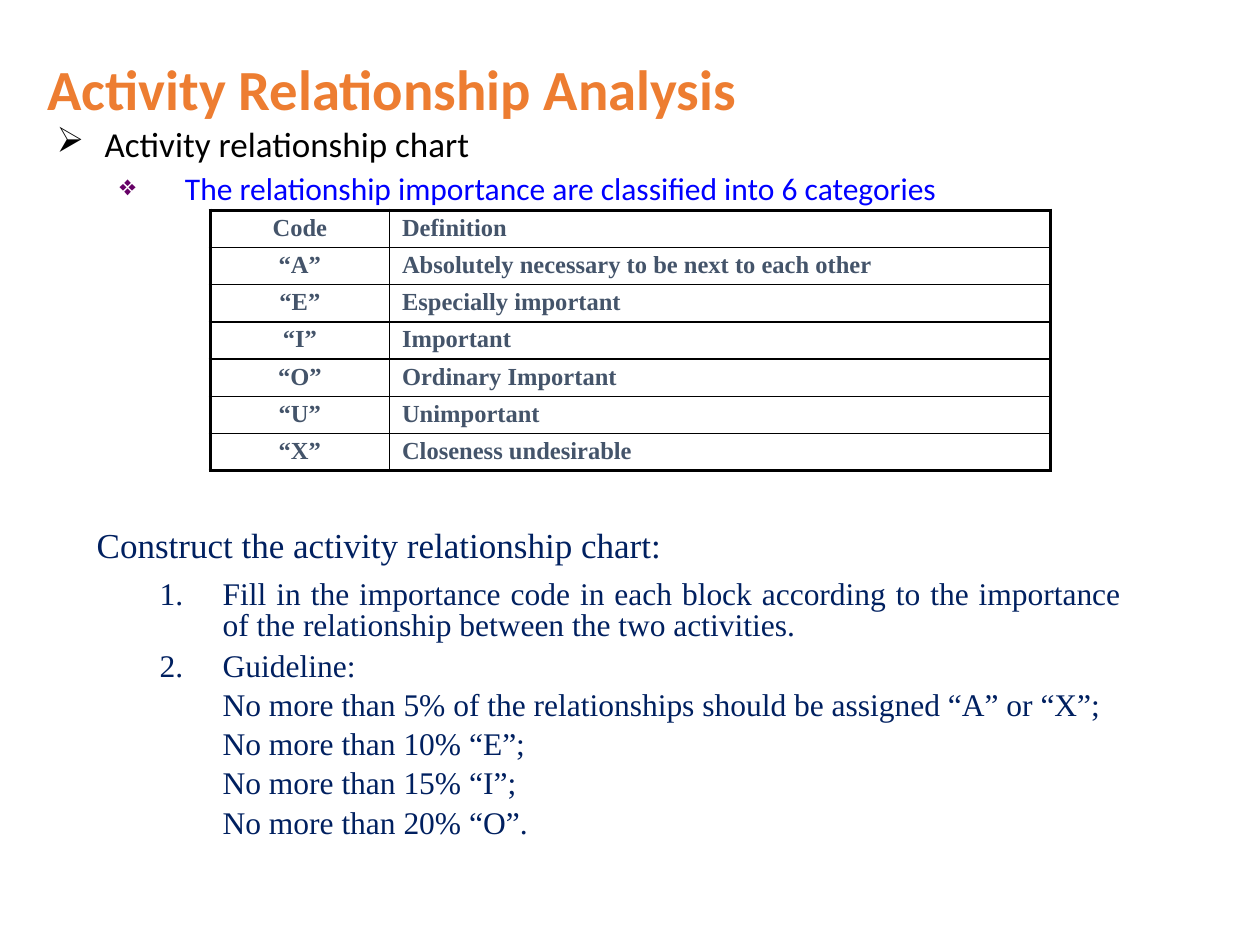
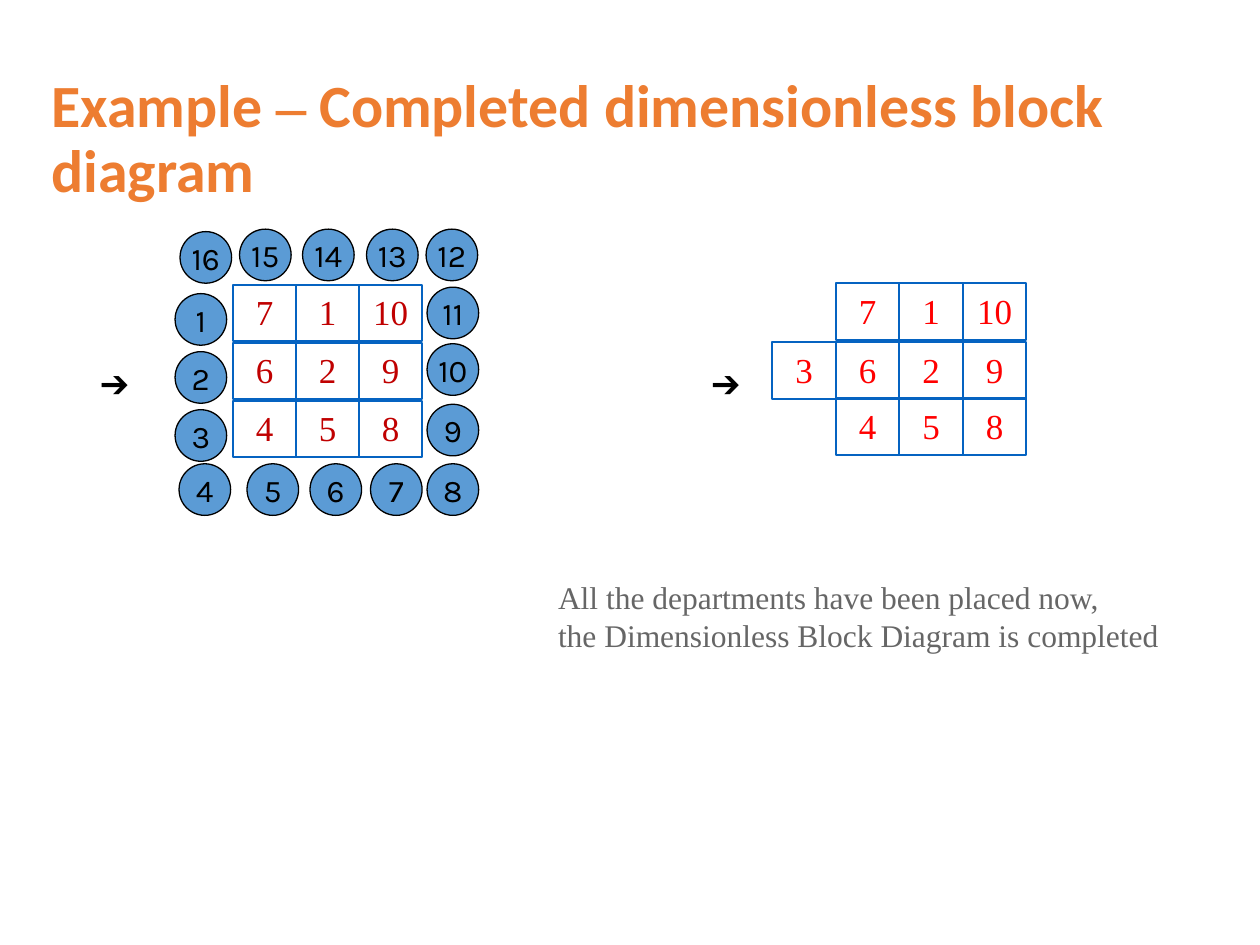
from dataclasses import dataclass
from typing import NamedTuple

from lxml.etree import SubElement
from pptx import Presentation
from pptx.dml.color import RGBColor
from pptx.enum.shapes import MSO_SHAPE
from pptx.enum.text import MSO_ANCHOR, PP_ALIGN
from pptx.oxml.ns import qn
from pptx.util import Cm, Pt


@dataclass(frozen=True)
class Theme:
    heading_font: str = "Calibri"
    body_font: str = "Times New Roman"
    circle_font: str = "Karla"
    title: str = "ED7D31"
    black: str = "000000"
    blue: str = "0000FF"
    purple: str = "660066"
    slate: str = "44546A"
    navy: str = "002060"
    gray: str = "666666"
    circle: str = "5B9BD5"
    block_line: str = "0563C1"
    dark_red: str = "C00000"
    red: str = "FF0000"
    large: float = 20
    medium: float = 18
    small: float = 14
    thick: float = 2.25
    thin: float = 1


THEME = Theme()


class Box(NamedTuple):
    left: float
    top: float
    width: float
    height: float

    def lengths(self) -> list:
        return [Cm(value) for value in self]


@dataclass(frozen=True)
class Style:
    font: str
    size: float
    color: str
    bold: bool = False


@dataclass(frozen=True)
class Line:
    text: str
    style: Style
    align: PP_ALIGN = PP_ALIGN.LEFT
    spacing: float = 1.0
    before: float = 0
    level: int = 0
    margin: float = 0
    hanging: float = 0
    bullet: str = ""
    bullet_color: str = ""
    bullet_percent: int = 100
    numbered: bool = False


class Circle(NamedTuple):
    left: float
    top: float


class Block(NamedTuple):
    column: int
    row: int
    department: str


NOTE = Style(THEME.body_font, THEME.medium, THEME.gray)
ARROW = Style(THEME.body_font, THEME.medium, THEME.black)
CIRCLE = Style(THEME.circle_font, THEME.medium, THEME.black)
CODE = Style(THEME.body_font, THEME.small, THEME.slate, True)
STEP = Style(THEME.body_font, THEME.medium, THEME.navy)

CATEGORIES = [
    ("Code", "Definition"),
    ("“A”", "Absolutely necessary to be next to each other"),
    ("“E”", "Especially important"),
    ("“I”", "Important"),
    ("“O”", "Ordinary Important"),
    ("“U”", "Unimportant"),
    ("“X”", "Closeness undesirable"),
]
GUIDELINES = [
    "No more than 5% of the relationships should be assigned “A” or “X”;",
    "No more than 10% “E”;",
    "No more than 15% “I”;",
    "No more than 20% “O”.",
]
CIRCLES = (
    [Circle(3.53, 5.92 + 1.17 * step) for step in range(3)]
    + [Circle(left, 9.35) for left in (3.61, 4.98, 6.25, 7.47, 8.61)]
    + [Circle(8.61, top) for top in (8.15, 6.93, 5.79)]
    + [Circle(left, 4.62) for left in (8.59, 7.39, 6.1, 4.83)]
    + [Circle(3.63, 4.67)]
)
CIRCLE_SIZE = 1.04
PLACED = ["7 1 10", "6 2 9", "4 5 8"]
BLOCKS = [
    Block(column, row, department)
    for row, departments in enumerate(PLACED)
    for column, department in enumerate(departments.split())
]


def apply_style(font, style: Style) -> None:
    font.name = style.font
    font.size = Pt(style.size)
    font.bold = style.bold
    font.color.rgb = RGBColor.from_string(style.color)


def add_bullet(paragraph, line: Line) -> None:
    properties = paragraph._p.get_or_add_pPr()
    properties.set("marL", str(Cm(line.margin)))
    properties.set("indent", str(-Cm(line.hanging)))
    if line.bullet_color:
        color = SubElement(properties, qn("a:buClr"))
        SubElement(color, qn("a:srgbClr"), val=line.bullet_color)
    if line.bullet_percent != 100:
        SubElement(properties, qn("a:buSzPct"), val=str(line.bullet_percent * 1000))
    if line.bullet:
        SubElement(properties, qn("a:buChar"), char=line.bullet)
    elif line.numbered:
        SubElement(properties, qn("a:buAutoNum"), type="arabicPeriod")
    else:
        SubElement(properties, qn("a:buNone"))


def write(text_frame, lines: list[Line]) -> None:
    text_frame.text = "\n".join(line.text for line in lines)
    for paragraph, line in zip(text_frame.paragraphs, lines):
        paragraph.alignment = line.align
        paragraph.line_spacing = line.spacing
        paragraph.level = line.level
        if line.before:
            paragraph.space_before = Pt(line.before)
        add_bullet(paragraph, line)
        for run in paragraph.runs:
            apply_style(run.font, line.style)


def add_text(slide, box: Box, lines: list[Line], wrap: bool = True):
    shape = slide.shapes.add_textbox(*box.lengths())
    shape.text_frame.word_wrap = wrap
    write(shape.text_frame, lines)
    return shape


def add_title(slide, box: Box, text: str, size: float) -> None:
    style = Style(THEME.heading_font, size, THEME.title, True)
    start, dash, rest = text.partition("–")
    shape = add_text(slide, box, [Line(start, style, spacing=0.9)])
    shape.text_frame.vertical_anchor = MSO_ANCHOR.MIDDLE
    for piece, font in ((dash, THEME.body_font), (rest, THEME.heading_font)):
        if piece:
            run = shape.text_frame.paragraphs[0].add_run()
            run.text = piece
            apply_style(run.font, Style(font, size, THEME.title, True))


def set_borders(cell, widths: dict[str, float]) -> None:
    properties = cell._tc.get_or_add_tcPr()
    for index, (side, width) in enumerate(widths.items()):
        border = properties.makeelement(qn(f"a:ln{side}"), {"w": str(Pt(width))})
        fill = SubElement(border, qn("a:solidFill"))
        SubElement(fill, qn("a:srgbClr"), val=THEME.black)
        properties.insert(index, border)


def add_category_table(slide) -> None:
    last = len(CATEGORIES) - 1
    box = Box(4.24, 4.24, 16.94, 0.75 * len(CATEGORIES))
    table = slide.shapes.add_table(len(CATEGORIES), 2, *box.lengths()).table
    table.first_row = table.horz_banding = False
    for column, width in zip(table.columns, (3.61, 13.33)):
        column.width = Cm(width)
    for row, texts in enumerate(CATEGORIES):
        for column, text in enumerate(texts):
            cell = table.cell(row, column)
            cell.fill.background()
            cell.vertical_anchor = MSO_ANCHOR.MIDDLE
            cell.margin_top = cell.margin_bottom = Cm(0.08)
            align = PP_ALIGN.LEFT if column else PP_ALIGN.CENTER
            write(cell.text_frame, [Line(text, CODE, align, 0.9)])
            outer = {"L": column == 0, "R": column == 1, "T": row == 0, "B": row == last}
            set_borders(cell, {
                side: THEME.thick if edge else THEME.thin for side, edge in outer.items()
            })


def add_labelled(shapes, kind: MSO_SHAPE, box: Box, text: str, style: Style,
                 line_color: str, line_width: float, fill: str = ""):
    shape = shapes.add_shape(kind, *box.lengths())
    shape.shadow.inherit = False
    if fill:
        shape.fill.solid()
        shape.fill.fore_color.rgb = RGBColor.from_string(fill)
    else:
        shape.fill.background()
    shape.line.color.rgb = RGBColor.from_string(line_color)
    shape.line.width = Pt(line_width)
    write(shape.text_frame, [Line(text, style, PP_ALIGN.CENTER)])
    return shape


def add_blocks(slide, blocks: list[Block], left: float, pitch: float,
               tops: tuple[float, ...], color: str) -> None:
    group = slide.shapes.add_group_shape()
    style = Style(THEME.body_font, THEME.large, color)
    for block in blocks:
        box = Box(left + pitch * block.column, tops[block.row], pitch, 1.14)
        shape = add_labelled(group.shapes, MSO_SHAPE.RECTANGLE, box, block.department,
                             style, THEME.block_line, THEME.thin)
        shape.text_frame.word_wrap = True
        shape.text_frame.vertical_anchor = MSO_ANCHOR.TOP


def build_analysis(slide) -> None:
    add_title(slide, Box(0.71, 1.22, 22.45, 1.27), "Activity Relationship Analysis", 32.4)
    add_text(slide, Box(0.89, 2.44, 24.08, 2.41), [
        Line("Activity relationship chart",
             Style(THEME.heading_font, THEME.large, THEME.black),
             spacing=0.9, margin=0.97, hanging=0.97, bullet="➢"),
        Line("The relationship importance are classified into 6 categories",
             Style(THEME.heading_font, THEME.medium, THEME.blue),
             spacing=0.9, before=5, level=1, margin=2.59, hanging=1.32,
             bullet="❖", bullet_color=THEME.purple, bullet_percent=90),
    ])
    add_category_table(slide)
    justify = PP_ALIGN.JUSTIFY
    steps = [
        ("Fill in the importance code in each block according to the importance "
         "of the relationship between the two activities.", 0.8),
        ("Guideline:", 0.6),
    ]
    add_text(slide, Box(1.7, 10.59, 21.16, 6.83), [
        Line("Construct the activity relationship chart:",
             Style(THEME.body_font, THEME.large, THEME.navy), justify, 0.8,
             margin=1.27, hanging=1.27),
        *(Line(text, STEP, justify, spacing, 9.5, 1, 2.54, 1.27, numbered=True)
          for text, spacing in steps),
        *(Line(text, STEP, justify, 0.6, 9.5, 2, 3.81, 1.27) for text in GUIDELINES),
    ])


def build_block_diagram(slide) -> None:
    add_title(slide, Box(0.79, 1.93, 24.1, 1.8),
              "Example – Completed dimensionless block diagram", 34.2)
    add_text(slide, Box(11, 11.53, 12.62, 1.78), [
        Line("All the departments have been placed now,", NOTE),
        Line("the Dimensionless Block Diagram is completed", NOTE),
    ], wrap=False)
    for left in (1.78, 14.1):
        add_text(slide, Box(left, 7.24, 1.42, 1.27), [Line("➔", ARROW)], wrap=False)
    for number, circle in enumerate(CIRCLES, start=1):
        shape = add_labelled(slide.shapes, MSO_SHAPE.OVAL,
                             Box(*circle, CIRCLE_SIZE, CIRCLE_SIZE), str(number),
                             CIRCLE, THEME.black, 0.75, THEME.circle)
        shape.text_frame.word_wrap = False
        shape.text_frame.vertical_anchor = MSO_ANCHOR.MIDDLE
    add_blocks(slide, BLOCKS, 4.7, 1.27, (5.74, 6.91, 8.08), THEME.dark_red)
    add_blocks(slide, BLOCKS + [Block(-1, 1, "3")], 16.85, 1.28, (5.71, 6.9, 8.03), THEME.red)


def main() -> None:
    presentation = Presentation()
    presentation.slide_width = Cm(25.4)
    presentation.slide_height = Cm(19.05)
    for build in (build_analysis, build_block_diagram):
        build(presentation.slides.add_slide(presentation.slide_layouts[6]))
    presentation.save("out.pptx")


if __name__ == "__main__":
    main()
